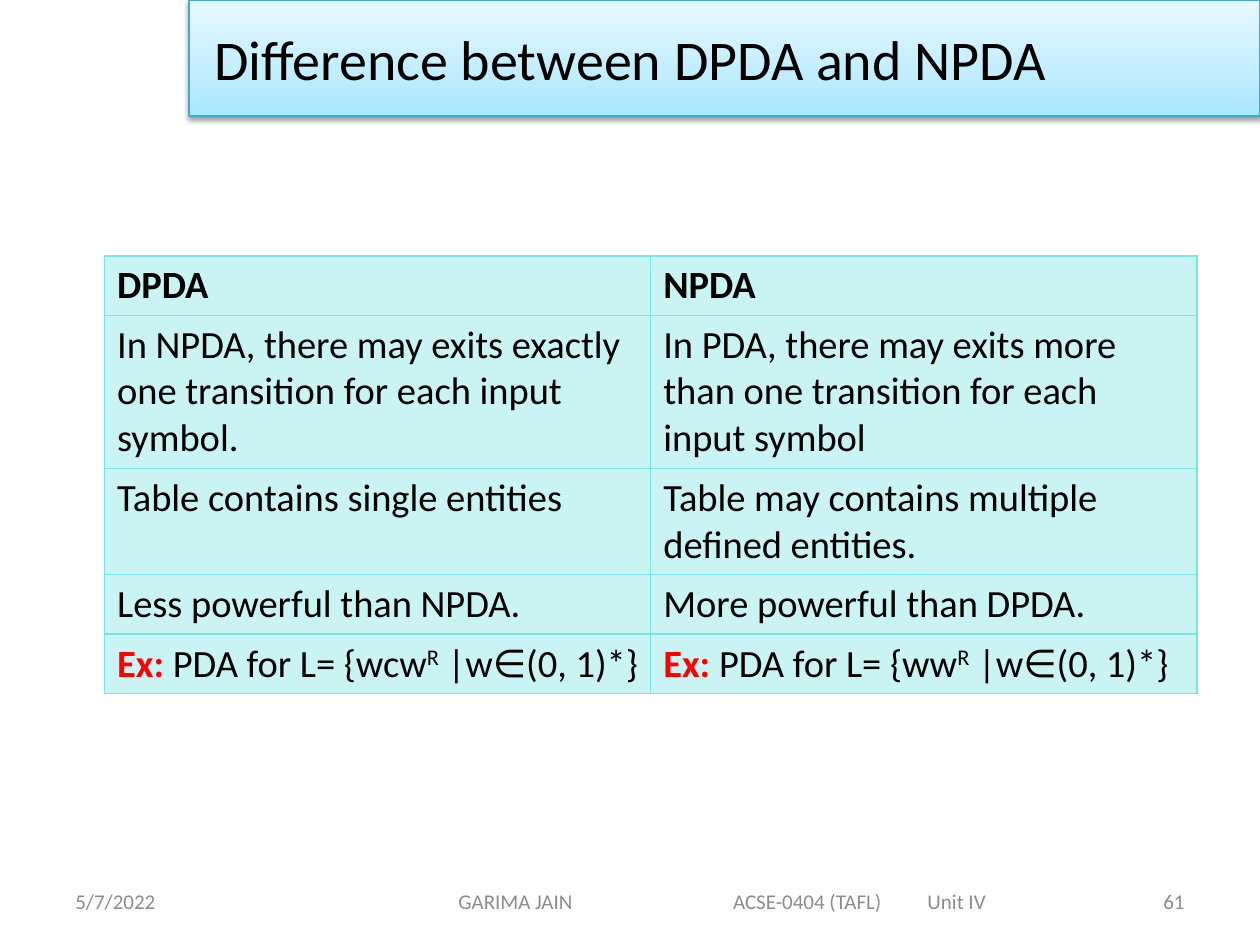
from copy import deepcopy

from lxml.etree import SubElement
from pptx import Presentation
from pptx.dml.color import RGBColor
from pptx.enum.text import MSO_ANCHOR, MSO_AUTO_SIZE, PP_ALIGN
from pptx.oxml import parse_xml
from pptx.oxml.ns import nsdecls, qn
from pptx.util import Inches, Pt

BLACK, RED, GRAY, AQUA = "000000", "FF0000", "8C8C8C", "7BE5E5"
TITLE_STOPS = [(0, "A7E6FF"), (0.35, "C1EDFF"), (1, "E7F8FF")]
TITLE_SHADOW = (
    f'<a:effectLst {nsdecls("a")}><a:outerShdw blurRad="{Pt(3.1)}" dist="{Pt(1.6)}" '
    'dir="5400000" rotWithShape="0"><a:srgbClr val="000000"><a:alpha val="38000"/>'
    "</a:srgbClr></a:outerShdw></a:effectLst>"
)


def example(word):
    """Return the spans of an example row: text and format."""
    return [
        ("Ex: ", {"bold": True, "color": RED}),
        ("PDA for L= {" + word, {}),
        ("R", {"baseline": 30}),
        (" |w∈(0, 1)*}", {}),
    ]


ROWS = [
    ([("DPDA", {"bold": True})], [("NPDA", {"bold": True})]),
    (
        [("In NPDA, there may exits exactly one transition for each input symbol.", {})],
        [("In PDA, there may exits more than one transition for each input symbol", {})],
    ),
    (
        [("Table contains single entities", {})],
        [("Table may contains multiple defined entities.", {})],
    ),
    ([("Less powerful than NPDA.", {})], [("More powerful than DPDA.", {})]),
    (example("wcw"), example("ww")),
]


def rgb(color):
    return RGBColor.from_string(color)


def add_span(paragraph, text, size, color=BLACK, bold=False, baseline=0):
    span = paragraph.add_run()
    span.text = text
    formats = {"name": "Calibri", "size": Pt(size), "bold": bold}
    for name, value in formats.items():
        setattr(span.font, name, value)
    span.font.color.rgb = rgb(color)
    if baseline:
        span.font._element.set("baseline", str(baseline * 1000))


def add_title(page, text):
    title = page.shapes.title
    place = {"left": 1.5, "top": 0, "width": 8.5, "height": 0.92}
    for name, value in place.items():
        setattr(title, name, Inches(value))
    frame = title.text_frame
    formats = {
        "auto_size": MSO_AUTO_SIZE.NONE,
        "word_wrap": True,
        "vertical_anchor": MSO_ANCHOR.MIDDLE,
        "margin_left": Inches(0.2),
    }
    for name, value in formats.items():
        setattr(frame, name, value)
    frame.paragraphs[0].alignment = PP_ALIGN.LEFT
    add_span(frame.paragraphs[0], text, 32)

    title.fill.gradient()
    title.fill.gradient_angle = 90
    stop_list = title._element.spPr.find(qn("a:gradFill")).find(qn("a:gsLst"))
    stop_list.append(deepcopy(stop_list[-1]))
    for stop, (position, color) in zip(title.fill.gradient_stops, TITLE_STOPS):
        stop.position = position
        stop.color.rgb = rgb(color)
    title.line.color.rgb = rgb("46AAC5")
    title.line.width = Pt(0.75)
    title._element.spPr.append(parse_xml(TITLE_SHADOW))


def style_cell(cell):
    """Give the cell thin borders and a translucent fill."""
    properties = cell._tc.get_or_add_tcPr()
    for side in ("lnL", "lnR", "lnT", "lnB"):
        border = SubElement(properties, qn(f"a:{side}"), w=str(Pt(1)))
        border_fill = SubElement(border, qn("a:solidFill"))
        SubElement(border_fill, qn("a:srgbClr"), val=AQUA)
    cell.fill.solid()
    cell.fill.fore_color.rgb = rgb(AQUA)
    color = properties.find(qn("a:solidFill")).find(qn("a:srgbClr"))
    SubElement(color, qn("a:alpha"), val="40000")


def add_comparison(page, rows):
    row_height = 0.41
    table = page.shapes.add_table(
        len(rows), 2, Inches(0.83), Inches(2.03), Inches(8.67), Inches(row_height * len(rows))
    ).table
    for row_index, row in enumerate(rows):
        for column_index, spans in enumerate(row):
            cell = table.cell(row_index, column_index)
            style_cell(cell)
            for text, formats in spans:
                add_span(cell.text_frame.paragraphs[0], text, 22, **formats)


def add_footer(page, text, left, width, alignment=PP_ALIGN.LEFT, indent=0, tabs=()):
    box = page.shapes.add_textbox(Inches(left), Inches(6.95), Inches(width), Inches(0.4))
    box.text_frame.word_wrap = True
    box.text_frame.vertical_anchor = MSO_ANCHOR.MIDDLE
    paragraph = box.text_frame.paragraphs[0]
    paragraph.alignment = alignment
    if tabs:
        properties = paragraph._p.get_or_add_pPr()
        properties.set("marL", str(Inches(indent)))
        tab_list = SubElement(properties, qn("a:tabLst"))
        for position in tabs:
            SubElement(tab_list, qn("a:tab"), pos=str(Inches(position)), algn="l")
    add_span(paragraph, text, 12, GRAY)


def main():
    deck = Presentation()
    deck.slide_width, deck.slide_height = Inches(10), Inches(7.5)
    page = deck.slides.add_slide(deck.slide_layouts[5])
    add_title(page, "Difference between DPDA and NPDA")
    add_comparison(page, ROWS)
    add_footer(page, "5/7/2022", 0.5, 2.33)
    add_footer(page, "GARIMA JAIN\tACSE-0404 (TAFL)\tUnit IV", 2.75, 5.5,
               indent=0.79, tabs=(2.18, 4.04))
    add_footer(page, "61", 7.17, 2.33, PP_ALIGN.RIGHT)
    deck.save("out.pptx")


if __name__ == "__main__":
    main()
